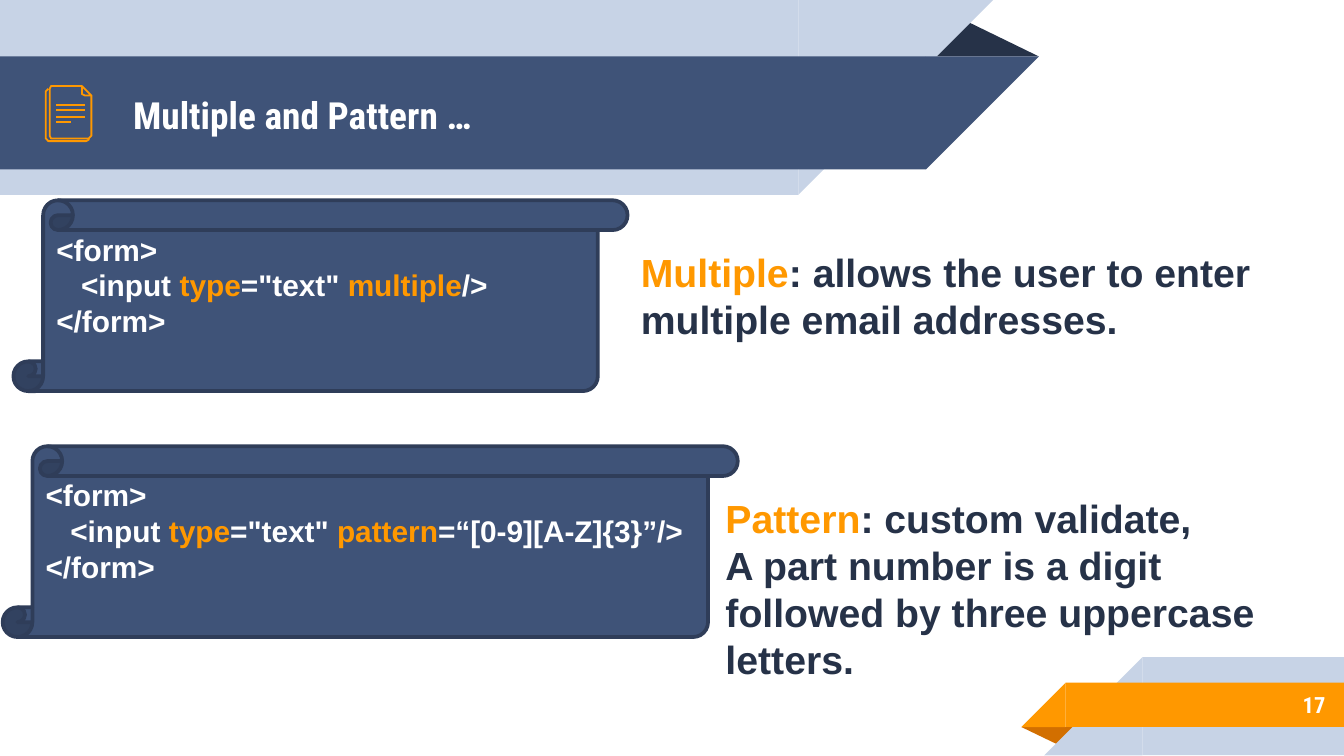
from lxml.etree import SubElement
from pptx import Presentation
from pptx.dml.color import RGBColor
from pptx.enum.shapes import MSO_CONNECTOR as Connector, MSO_SHAPE as Shape
from pptx.enum.text import MSO_ANCHOR as Anchor, PP_ALIGN as Align
from pptx.oxml.ns import qn
from pptx.util import Inches, Pt

# Content: each line is a list of (text, colour) spans
COLORS = {"navy": "3F5378", "ink": "263248", "edge": "2F3D59", "pale": "C7D3E6",
          "orange": "FF9800", "rust": "D26F00", "white": "FFFFFF"}
TITLE = "Multiple and Pattern …"
NUMBER = "17"
EXAMPLES = [
    {"scroll": (0.1, 1.49, 4.57, 1.42), "note": (4.67, 1.8, 5.87, 0.81),
     "attribute": "multiple", "ending": "/>",
     "lines": [[("Multiple", "orange"),
                (": allows the user to enter multiple email addresses.", "ink")]]},
    {"scroll": (0.02, 3.32, 5.47, 1.42), "note": (5.3, 3.63, 5.87, 1.51),
     "attribute": "pattern", "ending": "=“[0-9][A-Z]{3}”/>",
     "lines": [[("Pattern", "orange"), (": custom validate,", "ink")],
               [("A part number is a digit", "ink")],
               [("followed by three uppercase", "ink")],
               [("letters.", "ink")]]},
]
# Bands: colour, top, height, x where the slanted end begins
TOP_BANDS = [("pale", 0, 1.45, 5.94), ("navy", 0.42, 0.84, 6.89)]
BOTTOM_BANDS = [("pale", 4.89, 0.73, 8.5), ("orange", 5.08, 0.33, 7.93)]
# Document icon, in hundredths of an inch
SHEETS = [
    ([(66, 103), (66, 104), (64, 105), (36, 105), (34, 103), (34, 68), (36, 66)], False),
    ([(68, 71), (68, 101), (66, 103), (38, 103), (37, 101), (37, 66), (38, 64), (61, 64)], False),
    ([(61, 70), (61, 64), (68, 71), (63, 71)], True),
]
ICON_ROWS = [(0.78, 0.63), (0.82, 0.63), (0.87, 0.63), (0.91, 0.53)]

# Widescreen page, 16 to 9
deck = Presentation()
deck.slide_width = Inches(10)
deck.slide_height = deck.slide_width * 9 // 16
page = deck.slides.add_slide(deck.slide_layouts[5])


def color(name):
    return RGBColor.from_string(COLORS[name])


def add_block(kind, place, fill, rotation=0):
    block = page.shapes.add_shape(kind, *map(Inches, place))
    block.shadow.inherit = False
    block.fill.solid()
    block.fill.fore_color.rgb = color(fill)
    block.line.fill.background()
    block.rotation = rotation
    return block


def outline(line):
    line.color.rgb = color("orange")
    line.width = Pt(0.96)


def write(frame, lines, size, font="Arial", align=Align.LEFT):
    frame.word_wrap = True
    for index, spans in enumerate(lines):
        para = frame.paragraphs[0] if index == 0 else frame.add_paragraph()
        para.alignment = align
        for text, shade in spans:
            span = para.add_run()
            span.text = text
            span.font.name, span.font.size, span.font.bold = font, Pt(size), True
            span.font.color.rgb = color(shade)


def label(box, place, text, size, align):
    box.left, box.top, box.width, box.height = map(Inches, place)
    frame = box.text_frame
    frame.vertical_anchor = Anchor.MIDDLE
    frame.margin_left = frame.margin_right = Inches(0.1)
    frame.margin_top = frame.margin_bottom = Inches(0.1)
    write(frame, [[(text, "white")]], size, "Roboto Condensed", align)


# Header and footer ribbons
fold = add_block(Shape.ISOSCELES_TRIANGLE, (6.88, 0.14, 0.85, 0.28), "ink")
fold.adjustments[0] = 0.324
for fill, top, height, end in TOP_BANDS:
    add_block(Shape.RECTANGLE, (0, top, end, height), fill)
    add_block(Shape.RIGHT_TRIANGLE, (end, top, height, height), fill, 90)
fold = add_block(Shape.ISOSCELES_TRIANGLE, (7.6, 5.41, 0.43, 0.14), "rust", 180)
fold.adjustments[0] = 0.324
for fill, top, height, end in BOTTOM_BANDS:
    add_block(Shape.RECTANGLE, (end, top, 10 - end, height), fill)
    add_block(Shape.RIGHT_TRIANGLE, (end - height, top, height, height), fill, 270)

# Title, brought in front of the ribbons, and page number
title = page.shapes.title
title.element.getparent().append(title.element)
label(title, (0.89, 0.43, 5.75, 0.84), TITLE, 20, Align.LEFT)
number_place = (8.33, 5.07, 1.63, 0.35)
label(page.shapes.add_textbox(*map(Inches, number_place)), number_place, NUMBER, 12, Align.RIGHT)

# Document icon
for points, closed in SHEETS:
    builder = page.shapes.build_freeform(*points[0], scale=Inches(0.01))
    builder.add_line_segments(points[1:], close=closed)
    sheet = builder.convert_to_shape()
    sheet.shadow.inherit = False
    sheet.fill.background()
    outline(sheet.line)
for y, right in ICON_ROWS:
    row = page.shapes.add_connector(Connector.STRAIGHT, *map(Inches, (0.42, y, right, y)))
    SubElement(row.element.spPr, qn("a:effectLst"))
    outline(row.line)

# Code scrolls with their explanations
for example in EXAMPLES:
    scroll = add_block(Shape.VERTICAL_SCROLL, example["scroll"], "navy")
    scroll.adjustments[0] = 0.156
    scroll.line.color.rgb = color("edge")
    scroll.line.width = Pt(2)
    scroll.text_frame.vertical_anchor = Anchor.MIDDLE
    scroll.text_frame.margin_bottom = Inches(0.32)
    write(scroll.text_frame, [
        [("<form>", "white")],
        [("   <input ", "white"), ("type", "orange"), ('="text" ', "white"),
         (example["attribute"], "orange"), (example["ending"], "white")],
        [("</form>", "white")],
    ], 16)
    note = page.shapes.add_textbox(*map(Inches, example["note"]))
    write(note.text_frame, example["lines"], 21)

deck.save("out.pptx")
